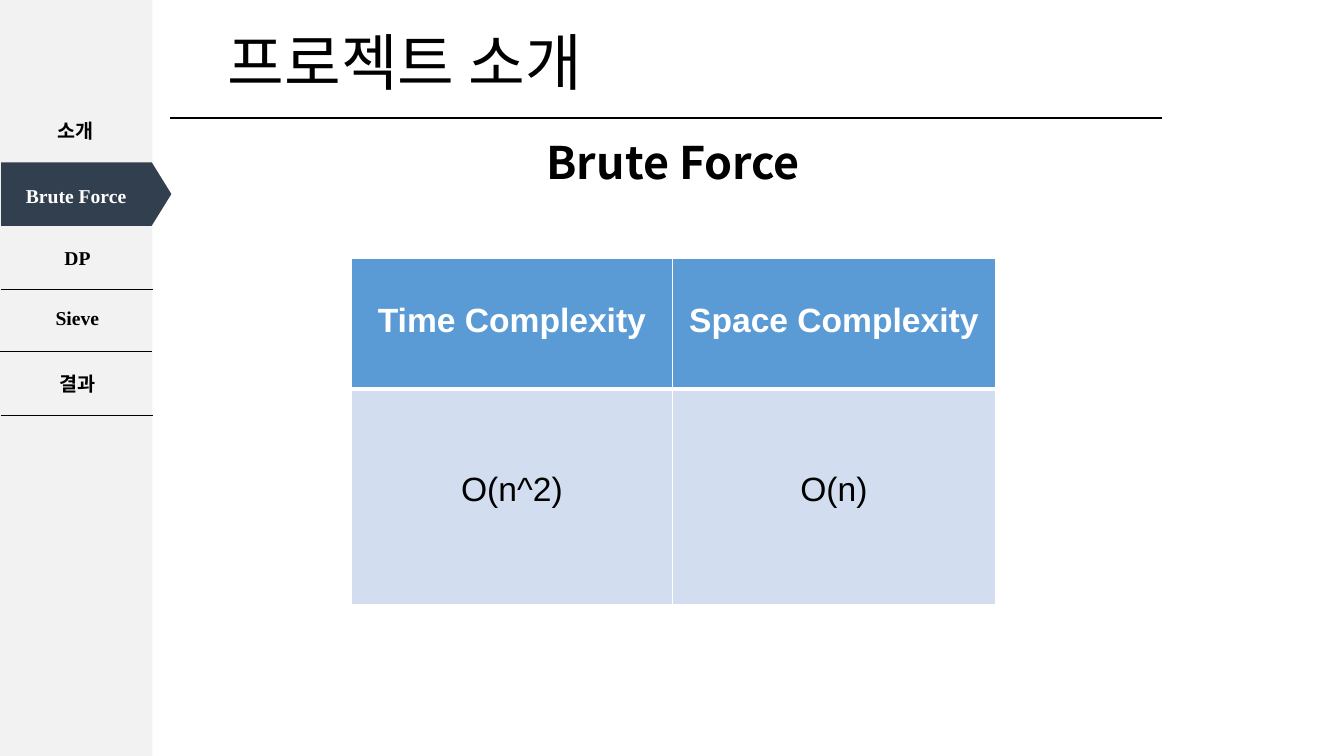
import pptx
import pptx.dml.color
import pptx.enum.shapes
import pptx.enum.text
import pptx.oxml.ns
import pptx.util
from lxml import etree
from pptx.util import Cm

BLACK, WHITE = "000000", "FFFFFF"
SIDEBAR_GREY, ACTIVE_NAVY = "F2F2F2", "323F4F"
HEADER_BLUE, BODY_BLUE = "5B9BD5", "D2DEEF"
EAST_ASIAN_FONT = "Noto Sans CJK KR"
ALIGN = pptx.enum.text.PP_ALIGN
SHAPE = pptx.enum.shapes.MSO_SHAPE

MENU = [
    ("소개", 0.71, 2.87, 2.39, BLACK),
    ("Brute Force", 0.03, 4.5, 3.78, WHITE),
    ("DP", 0.76, 6.07, 2.39, BLACK),
    ("Sieve", 0.03, 7.59, 3.84, BLACK),
    ("결과", 0.03, 9.25, 3.84, BLACK),
]
MENU_RULES = [(0.03, 7.29), (0, 8.86), (0.03, 10.46)]


def color(value):
    """Turn a hex string into a colour."""
    return pptx.dml.color.RGBColor.from_string(value)


def add_run(paragraph, text, size, font, text_color, bold=False, align=ALIGN.CENTER):
    """Add one formatted run to an aligned paragraph."""
    paragraph.alignment = align
    run = paragraph.add_run()
    run.text = text
    run.font.size = pptx.util.Pt(size)
    run.font.name = font
    run.font.bold = bold
    run.font.color.rgb = color(text_color)
    east_asian = etree.Element(pptx.oxml.ns.qn("a:ea"), typeface=EAST_ASIAN_FONT)
    run.font._element.find(pptx.oxml.ns.qn("a:latin")).addnext(east_asian)


def add_title(slide, text):
    """Place and fill the title placeholder."""
    title = slide.shapes.title
    title.left, title.top, title.width, title.height = Cm(5.49), Cm(0.41), Cm(11.48), Cm(2.49)
    frame = title.text_frame
    frame.auto_size = pptx.enum.text.MSO_AUTO_SIZE.NONE
    frame.vertical_anchor = pptx.enum.text.MSO_ANCHOR.MIDDLE
    frame.paragraphs[0].line_spacing = 0.9
    add_run(frame.paragraphs[0], text, 44, "Arial", BLACK, align=ALIGN.LEFT)


def add_panel(slide, kind, left, top, width, height, fill):
    """Add a filled shape without outline or shadow."""
    shape = slide.shapes.add_shape(kind, Cm(left), Cm(top), Cm(width), Cm(height))
    shape.shadow.inherit = False
    shape.fill.solid()
    shape.fill.fore_color.rgb = color(fill)
    shape.line.fill.background()
    return shape


def add_label(slide, text, left, top, width, height, size, font, text_color):
    """Add a centred bold text box."""
    box = slide.shapes.add_textbox(Cm(left), Cm(top), Cm(width), Cm(height))
    frame = box.text_frame
    frame.word_wrap = True
    frame.auto_size = pptx.enum.text.MSO_AUTO_SIZE.SHAPE_TO_FIT_TEXT
    add_run(frame.paragraphs[0], text, size, font, text_color, bold=True)


def add_rule(slide, left, top, width, weight):
    """Add a horizontal black line."""
    line = slide.shapes.add_connector(
        pptx.enum.shapes.MSO_CONNECTOR.STRAIGHT, Cm(left), Cm(top), Cm(left + width), Cm(top))
    line.line.color.rgb = color(BLACK)
    line.line.width = pptx.util.Pt(weight)
    etree.SubElement(line._element.spPr, pptx.oxml.ns.qn("a:effectLst"))


def set_borders(cell, weights):
    """Give a cell white borders, with weights in points by side."""
    properties = cell._tc.get_or_add_tcPr()
    for side, weight in weights.items():
        border = etree.SubElement(
            properties, pptx.oxml.ns.qn(f"a:ln{side}"), w=str(pptx.util.Pt(weight)))
        fill = etree.SubElement(border, pptx.oxml.ns.qn("a:solidFill"))
        etree.SubElement(fill, pptx.oxml.ns.qn("a:srgbClr"), val=WHITE)


def fill_row(table, row, texts, height, text_top, fill, text_color, bold, borders):
    """Format and fill one table row."""
    table.rows[row].height = Cm(height)
    for column, text in enumerate(texts):
        cell = table.cell(row, column)
        set_borders(cell, borders)
        cell.fill.solid()
        cell.fill.fore_color.rgb = color(fill)
        cell.margin_top = Cm(text_top)
        add_run(cell.text_frame.paragraphs[0], text, 24, "Arial", text_color, bold)


def add_complexity_table(slide):
    """Add the table of time and space complexity."""
    table = slide.shapes.add_table(2, 2, Cm(8.86), Cm(6.5), Cm(16.23), Cm(8.74)).table
    for column, width in zip(table.columns, (8.08, 8.15)):
        column.width = Cm(width)
    fill_row(table, 0, ("Time Complexity", "Space Complexity"), 3.3, 1.1,
             HEADER_BLUE, WHITE, True, {"L": 1, "R": 1, "T": 1, "B": 3})
    fill_row(table, 1, ("O(n^2)", "O(n)"), 5.44, 2.08,
             BODY_BLUE, BLACK, False, {"L": 1, "R": 1, "T": 3, "B": 1})


def main():
    """Build the slide and save it."""
    presentation = pptx.Presentation()
    presentation.slide_width, presentation.slide_height = Cm(33.87), Cm(19.05)
    slide = presentation.slides.add_slide(presentation.slide_layouts[5])
    add_title(slide, "프로젝트 소개")
    add_panel(slide, SHAPE.RECTANGLE, 0, 0, 3.84, 19.05, SIDEBAR_GREY)
    marker = add_panel(slide, SHAPE.PENTAGON, 0.03, 4.09, 4.29, 1.6, ACTIVE_NAVY)
    marker.adjustments[0] = 0.31
    for text, left, top, width, text_color in MENU:
        add_label(slide, text, left, top, width, 0.86, 14, "Times New Roman", text_color)
    for left, top in MENU_RULES:
        add_rule(slide, left, top, 3.83, 0.75)
    add_rule(slide, 4.29, 2.97, 25, 1)
    add_label(slide, "Brute Force", 4.6, 3.28, 24.74, 1.63, 32, EAST_ASIAN_FONT, BLACK)
    add_complexity_table(slide)
    presentation.save("out.pptx")


if __name__ == "__main__":
    main()
